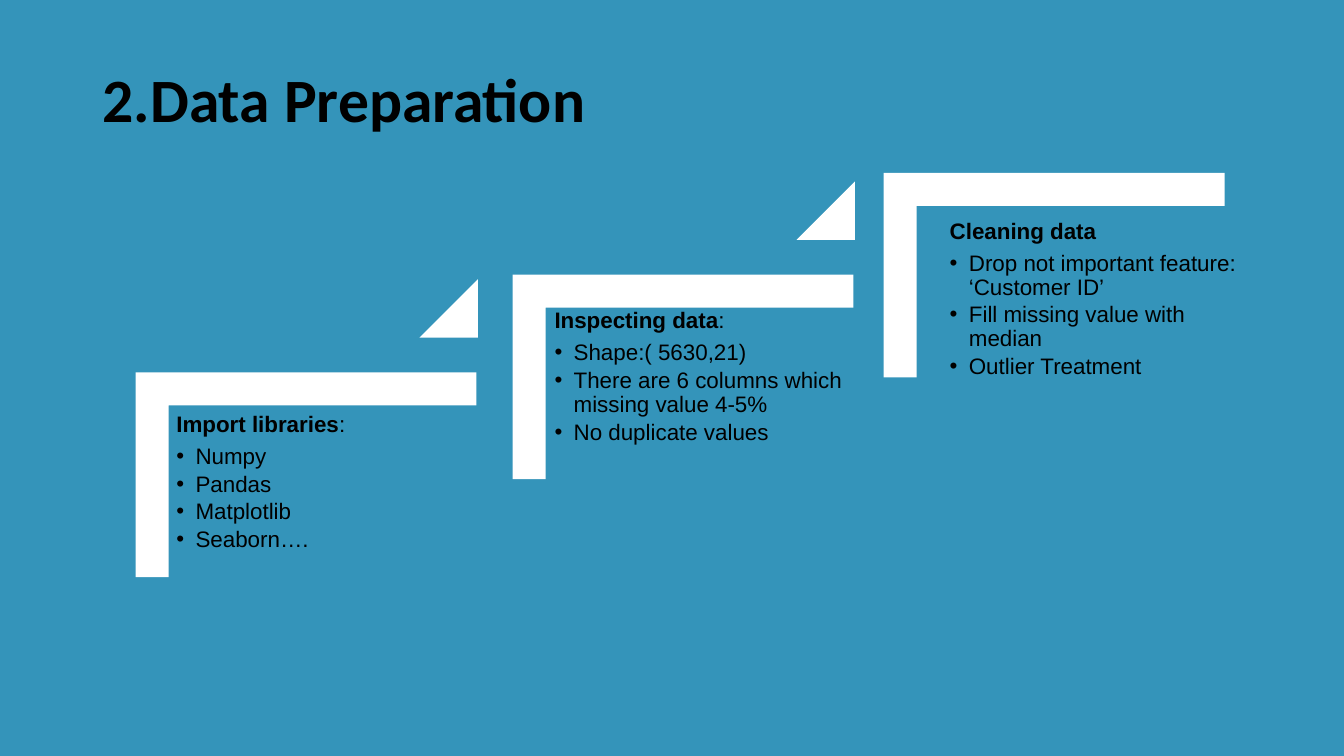
from lxml.etree import SubElement
from pptx import Presentation
from pptx.dml.color import RGBColor
from pptx.enum.shapes import MSO_SHAPE as Shape
from pptx.oxml.ns import qn
from pptx.util import Inches, Pt

BLUE = RGBColor(0x34, 0x94, 0xBA)
WHITE = RGBColor(0xFF, 0xFF, 0xFF)
BLACK = RGBColor(0, 0, 0)

# Corner place, text box, heading, heading tail, bullets
STEPS = [
    ((2.02, 3.02), (1.68, 4.03, 3.06, 2.68), "Import libraries", ":",
     ["Numpy", "Pandas", "Matplotlib", "Seaborn…."]),
    ((5.76, 2.05), (5.43, 3, 3.4, 2.76), "Inspecting data", ":",
     ["Shape:( 5630,21)", "There are 6 columns which missing value 4-5%",
      "No duplicate values"]),
    ((9.44, 1.04), (9.35, 2.11, 3.23, 2.68), "Cleaning data", "",
     ["Drop not important feature: ‘Customer ID’",
      "Fill missing value with median", "Outlier Treatment"]),
]


def add_run(para, text, size, font, bold=False):
    run = para.add_run()
    run.text = text
    run.font.size = Pt(size)
    run.font.name = font
    run.font.bold = bold
    run.font.color.rgb = BLACK


def add_box(slide, place, inset=None):
    frame = slide.shapes.add_textbox(*map(Inches, place)).text_frame
    frame.word_wrap = True
    if inset is not None:
        frame.margin_left = frame.margin_right = Inches(inset)
        frame.margin_top = frame.margin_bottom = Inches(inset)
    return frame


def add_solid(slide, kind, place, *adjust):
    shape = slide.shapes.add_shape(kind, *map(Inches, place))
    shape.shadow.inherit = False
    shape.fill.solid()
    shape.fill.fore_color.rgb = WHITE
    shape.line.fill.background()
    for i, value in enumerate(adjust):
        shape.adjustments[i] = value
    return shape


def set_space(para, after):
    para.line_spacing = 0.9
    para.space_after = Pt(after)


def add_bullet(frame, text):
    para = frame.add_paragraph()
    para.level = 1
    set_space(para, 2.4)
    props = para._p.get_or_add_pPr()
    props.set("marL", str(Inches(0.19)))
    props.set("indent", str(Inches(-0.19)))
    SubElement(props, qn("a:buFont")).set("typeface", "Arial")
    SubElement(props, qn("a:buChar")).set("char", "•")
    add_run(para, text, 16, "Arial")


def add_step(slide, corner, place, head, tail, items):
    left, top = corner
    shape = add_solid(slide, Shape.CORNER, (left, top, 2.03, 3.38), 0.161, 0.161)
    shape.rotation = 90
    frame = add_box(slide, place, 0.07)
    para = frame.paragraphs[0]
    set_space(para, 5.6)
    add_run(para, head, 16, "Arial", True)
    if tail:
        add_run(para, tail, 16, "Arial")
    for item in items:
        add_bullet(frame, item)


def add_rise(slide, corner):
    """Add the triangle that leads up from a step to the next one."""
    left, top = corner
    place = (left + 2.14, top - 0.25, 0.58, 0.58)
    add_solid(slide, Shape.ISOSCELES_TRIANGLE, place, 1)


def main():
    deck = Presentation()
    deck.slide_width, deck.slide_height = Inches(13.33), Inches(7.5)
    slide = deck.slides.add_slide(deck.slide_layouts[6])
    slide.background.fill.solid()
    slide.background.fill.fore_color.rgb = BLUE

    title = add_box(slide, (0.92, 0.56, 11.5, 0.84))
    add_run(title.paragraphs[0], "2.Data Preparation", 44, "Calibri", True)
    for step in STEPS:
        add_step(slide, *step)
        if step is not STEPS[-1]:
            add_rise(slide, step[0])
    deck.save("out.pptx")


if __name__ == "__main__":
    main()
